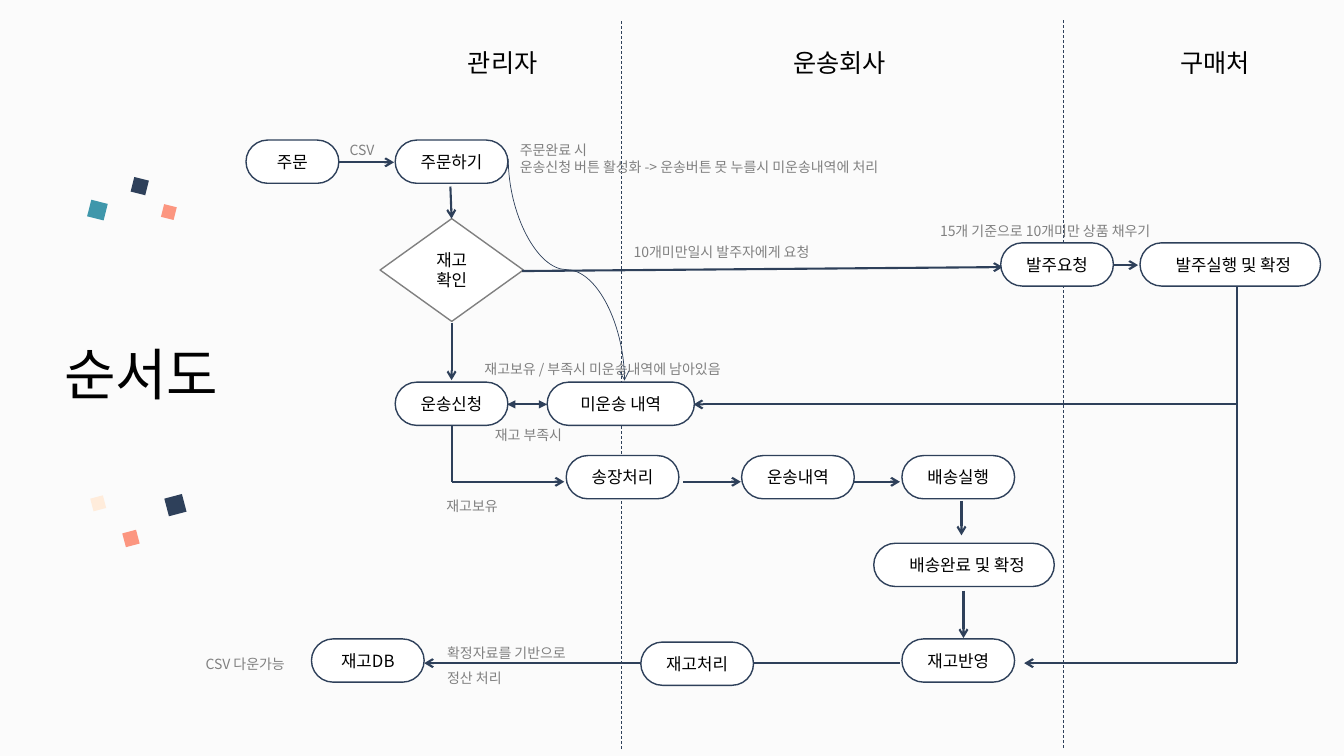
from dataclasses import dataclass

from lxml import etree
from pptx import Presentation, util as u
from pptx.dml import color as dml
from pptx.enum import dml as line_kinds, shapes, text
from pptx.oxml import ns

FONT = "Noto Sans CJK KR"
NAVY, GRAY, BLACK, WHITE = "2E405A", "808080", "000000", "FFFFFF"
CORAL, TEAL, CREAM = "FC9680", "3F97AB", "FFECDB"
SLIM, MID, WIDE = 2.84, 3.71, 4.55  # pill widths


@dataclass
class Step:
    x: float
    y: float
    label: str
    w: float = SLIM
    shift: float = 0


@dataclass
class Note:
    x: float
    y: float
    body: str
    w: float = 6.71
    h: float = 0.89
    gap: float = 1.5


@dataclass
class Link:
    x1: float
    y1: float
    x2: float
    y2: float
    tail: str = "arrow"
    head: str = ""


@dataclass
class Chip:
    x: float
    y: float
    size: float
    hue: str
    turn: float


STEPS = [
    Step(6.2, 3.53, "주문", 2.34),
    Step(9.96, 3.53, "주문하기"),
    Step(9.96, 9.63, "운송신청"),
    Step(13.79, 9.63, "미운송 내역", MID),
    Step(25.22, 6.12, "발주요청"),
    Step(28.73, 6.12, "발주실행 및 확정", WIDE, 0.16),
    Step(14.27, 11.48, "송장처리"),
    Step(18.69, 11.48, "운송내역"),
    Step(22.73, 11.48, "배송실행"),
    Step(22.02, 13.69, "배송완료 및 확정", WIDE, 0.16),
    Step(22.73, 16.1, "재고반영"),
    Step(7.85, 16.1, "재고DB"),
    Step(16.15, 16.18, "재고처리"),
]

NOTES = [
    Note(12.85, 3.45, "주문완료 시\n운송신청 버튼 활성화 -> 운송버튼 못 누를시 미운송내역에 처리",
         9.98, 1.12, 1),
    Note(15.72, 5.79, "10개미만일시 발주자에게 요청"),
    Note(11, 12.19, "재고보유", 1.85),
    Note(11.02, 15.9, "확정자료를 기반으로\n정산 처리", 3.61, 1.55),
    Note(12.22, 10.41, "재고 부족시"),
    Note(11.96, 8.74, "재고보유 / 부족시 미운송내역에 남아있음"),
    Note(23.44, 5.26, "15개 기준으로 10개미만 상품 채우기"),
    Note(8.56, 3.23, "CSV"),
    Note(4.93, 16.18, "CSV 다운가능", h=0.81),
]

LINKS = [
    Link(8.53, 4.09, 9.93, 4.09),
    Link(13.16, 6.83, 25.27, 6.73),
    Link(28.07, 6.68, 28.68, 6.68),
    Link(31.17, 10.19, 17.48, 10.19),
    Link(31.17, 16.71, 31.17, 7.06, tail=""),
    Link(17.22, 12.14, 18.67, 12.14),
    Link(21.46, 12.14, 22.68, 12.14),
    Link(11.38, 12.14, 14.22, 12.14),
    Link(24.23, 12.62, 24.23, 13.49),
    Link(24.28, 14.88, 24.28, 16.08),
    Link(22.68, 16.71, 10.69, 16.71),
    Link(31.17, 16.71, 25.81, 16.71),
    Link(11.38, 10.72, 11.38, 12.14, tail=""),
    Link(11.35, 4.7, 11.38, 5.51),
    Link(11.38, 8.13, 11.38, 9.58),
    Link(13.79, 10.19, 12.78, 10.19, tail="triangle", head="triangle"),
]

CHIPS = [
    Chip(3.12, 13.39, 0.36, CORAL, 75.2),
    Chip(4.19, 12.5, 0.46, NAVY, 75.2),
    Chip(2.31, 12.52, 0.33, CREAM, 75.2),
    Chip(2.24, 5.08, 0.43, TEAL, 104.1),
    Chip(4.09, 5.18, 0.33, CORAL, 104.1),
    Chip(3.33, 4.5, 0.38, NAVY, 104.1),
]


def paint(form, hue: str) -> None:
    """Give a fill one solid colour."""
    form.solid()
    form.fore_color.rgb = dml.RGBColor.from_string(hue)


def write(frame, body: str, *, size: float, hue: str = BLACK,
          center: bool = True, gap: float = 1) -> None:
    frame.word_wrap = True
    for i, row in enumerate(body.split("\n")):
        para = frame.paragraphs[0] if i == 0 else frame.add_paragraph()
        para.alignment = text.PP_ALIGN.CENTER if center else text.PP_ALIGN.LEFT
        para.line_spacing = gap
        run = para.add_run()
        run.text = row
        run.font.size = u.Pt(size)
        run.font.name = FONT
        paint(run.font.fill, hue)
        east = etree.SubElement(run.font._element, ns.qn("a:ea"))
        east.set("typeface", FONT)


def label(slide, x: float, y: float, w: float, h: float, body: str, **form) -> None:
    box = slide.shapes.add_textbox(u.Cm(x), u.Cm(y), u.Cm(w), u.Cm(h))
    write(box.text_frame, body, **form)


def block(slide, kind, x: float, y: float, w: float, h: float,
          fill: str, edge: str = ""):
    shape = slide.shapes.add_shape(kind, u.Cm(x), u.Cm(y), u.Cm(w), u.Cm(h))
    shape.shadow.inherit = False
    paint(shape.fill, fill)
    if edge:
        paint(shape.line.fill, edge)
        shape.line.width = u.Pt(1)
    else:
        shape.line.fill.background()
    return shape


def join(slide, link: Link, width: float = 1.5,
         kind=shapes.MSO_CONNECTOR.STRAIGHT):
    """Draw a connector with its arrowheads."""
    wire = slide.shapes.add_connector(
        kind, u.Cm(link.x1), u.Cm(link.y1), u.Cm(link.x2), u.Cm(link.y2))
    paint(wire.line.fill, NAVY)
    wire.line.width = u.Pt(width)
    stroke = wire.line._get_or_add_ln()
    for tag, tip in (("a:headEnd", link.head), ("a:tailEnd", link.tail)):
        if tip:
            etree.SubElement(stroke, ns.qn(tag)).set("type", tip)
    etree.SubElement(wire._element.spPr, ns.qn("a:effectLst"))
    return wire


def pill(slide, step: Step) -> None:
    shape = block(slide, shapes.MSO_SHAPE.ROUNDED_RECTANGLE,
                  step.x, step.y, step.w, 1.09, WHITE, NAVY)
    shape.adjustments[0] = 0.5
    frame = shape.text_frame
    frame.margin_left, frame.margin_right = u.Cm(step.shift), 0
    frame.vertical_anchor = text.MSO_ANCHOR.MIDDLE
    write(frame, step.label, size=12)


def main() -> None:
    deck = Presentation()
    deck.slide_width, deck.slide_height = u.Cm(33.87), u.Cm(19.05)
    slide = deck.slides.add_slide(deck.slide_layouts[6])
    paint(slide.background.fill, "FBFBFB")

    label(slide, 1.17, 8.43, 4.78, 1.96, "순서도", size=40)
    for chip in CHIPS:
        tile = block(slide, shapes.MSO_SHAPE.RECTANGLE,
                     chip.x, chip.y, chip.size, chip.size, chip.hue)
        tile.rotation = chip.turn
    for x, top in ((15.67, 0.53), (26.8, 0.51)):
        lane = join(slide, Link(x, top, x, top + 18.39, tail=""), 0.5)
        lane.line.dash_style = line_kinds.MSO_LINE.DASH
    for mid, w, name in ((12.67, 2.59, "관리자"), (21.16, 3.2, "운송회사"),
                         (30.63, 2.59, "구매처")):
        label(slide, mid - w / 2, 1.07, w, 1.02, name, size=18)

    check = block(slide, shapes.MSO_SHAPE.DIAMOND, 9.58, 5.51, 3.61, 2.59, WHITE, GRAY)
    check.text_frame.vertical_anchor = text.MSO_ANCHOR.MIDDLE
    write(check.text_frame, "재고\n확인", size=12)
    for link in LINKS:
        join(slide, link)
    for step in STEPS:
        pill(slide, step)
    for note in NOTES:
        label(slide, note.x, note.y, note.w, note.h, note.body,
              size=10, hue=GRAY, center=False, gap=note.gap)

    curve = join(slide, Link(17.07, 5.33, 11.48, 8.26), 0.5, shapes.MSO_CONNECTOR.CURVE)
    curve._element.spPr.find(ns.qn("a:xfrm")).set("rot", str(270 * 60000))
    deck.save("out.pptx")


if __name__ == "__main__":
    main()
